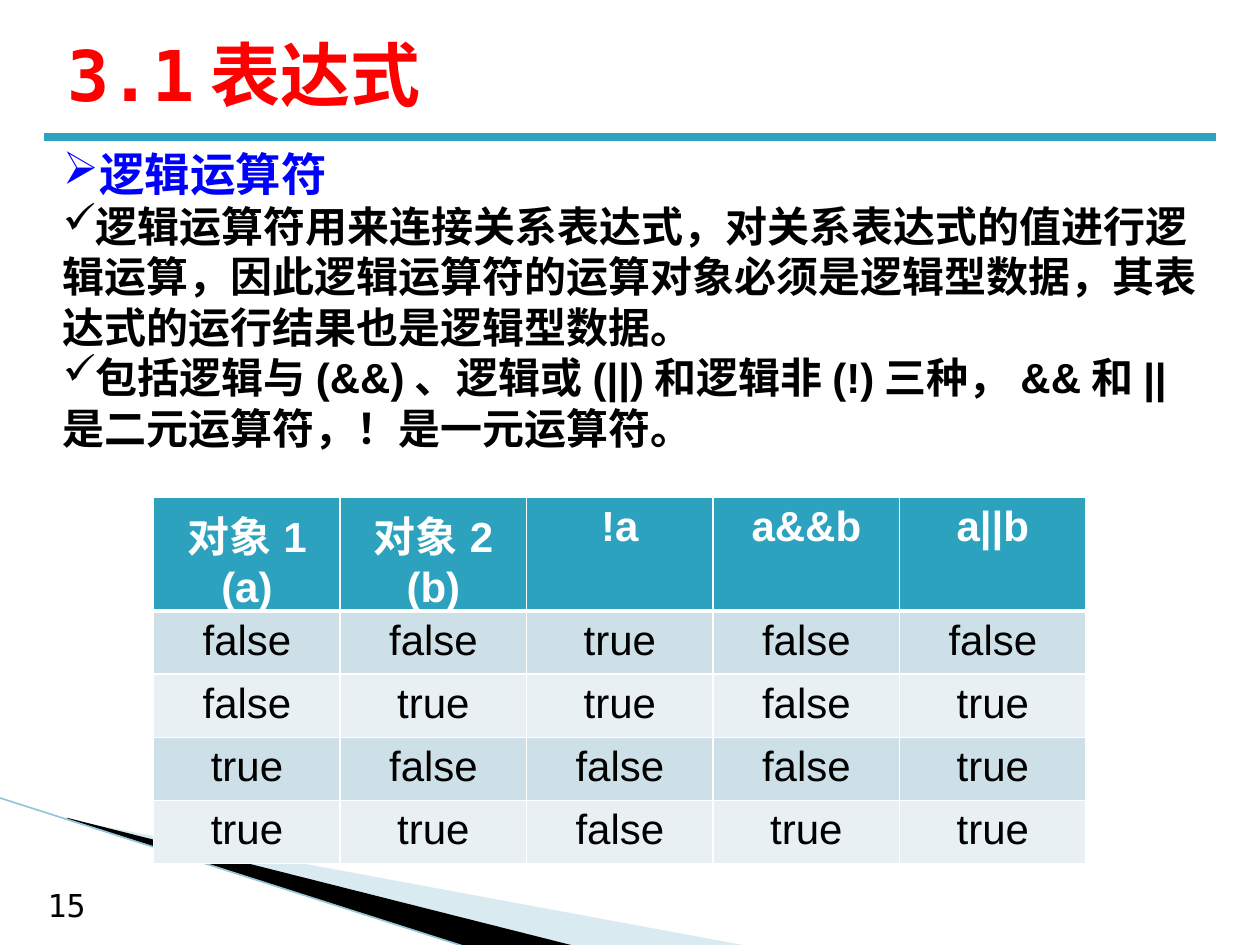
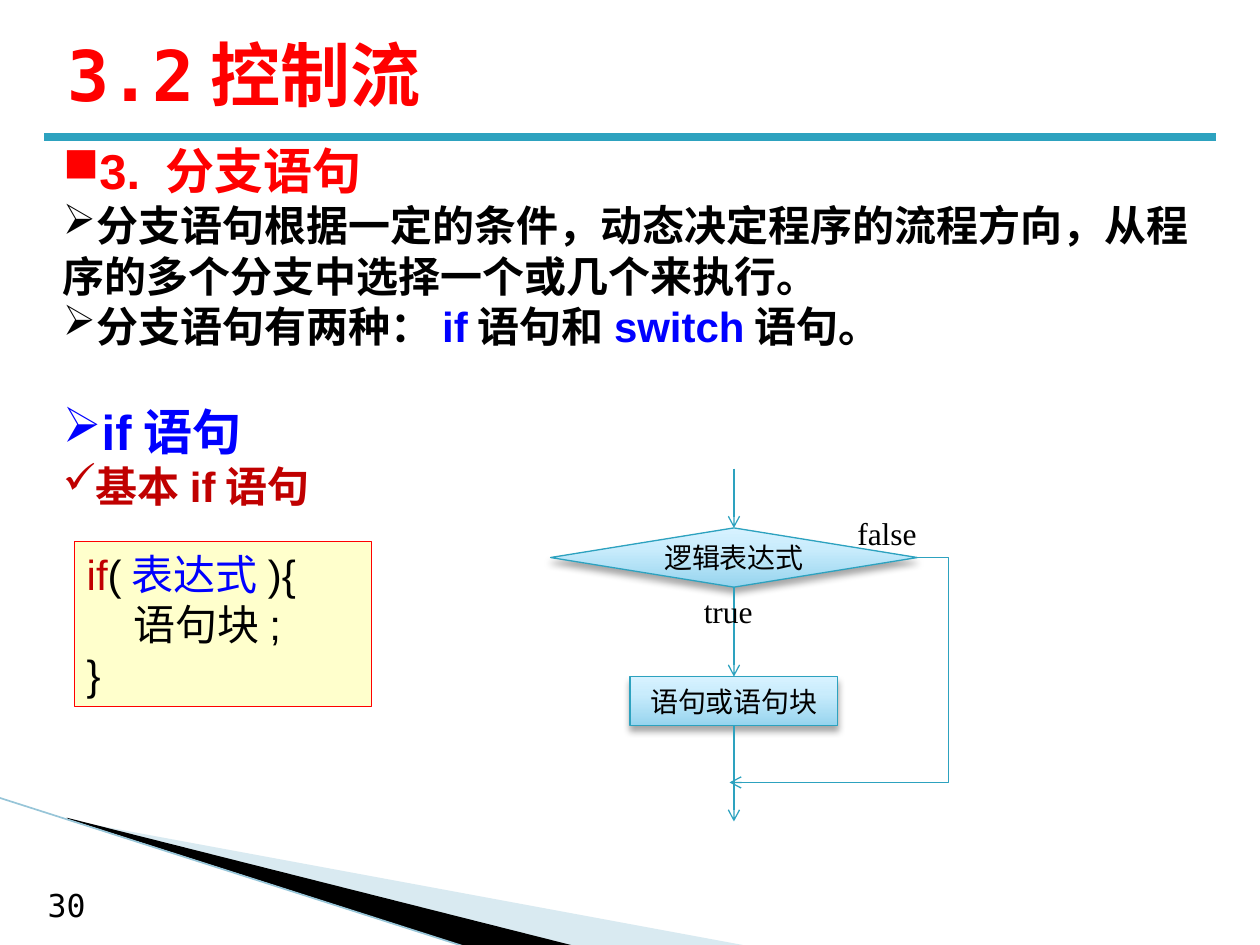
from dataclasses import dataclass
from typing import NamedTuple, Optional

from lxml.etree import SubElement
from pptx import Presentation
from pptx.dml.color import RGBColor
from pptx.enum.shapes import MSO_CONNECTOR, MSO_SHAPE
from pptx.enum.text import MSO_ANCHOR, PP_ALIGN
from pptx.oxml.ns import qn
from pptx.util import Inches, Pt


@dataclass(frozen=True)
class Theme:
    accent: str = "2DA2BF"
    pale: str = "A0CBDC"
    edge: str = "97C5D8"
    red: str = "FF0000"
    dark_red: str = "C00000"
    blue: str = "0000FF"
    black: str = "000000"
    white: str = "FFFFFF"
    code_fill: str = "FFFFCC"
    bands: tuple = ("CDE0E8", "E8F0F4")
    node_stops: tuple = ((0, "96D4EE"), (65, "C9ECFC"), (100, "D7F2FF"))
    sans: str = "Arial"
    mono: str = "DejaVu Sans Mono"
    serif: str = "Times New Roman"
    title: int = 40
    heading: int = 28
    subheading: int = 26
    body: int = 24
    label: int = 18
    node: int = 16
    hairline: float = 0.75


THEME = Theme()
SLIDE_WIDTH, SLIDE_HEIGHT = Inches(10), Inches(7.5)
COLUMNS, ROWS = 100, 75


class Point(NamedTuple):
    column: float
    row: float

    def emu(self) -> tuple[int, int]:
        return (round(self.column * SLIDE_WIDTH / COLUMNS),
                round(self.row * SLIDE_HEIGHT / ROWS))


class Area(NamedTuple):
    column: float
    row: float
    columns: float
    rows: float

    def emu(self) -> tuple[int, int, int, int]:
        return (*Point(self.column, self.row).emu(), *Point(self.columns, self.rows).emu())


class Span(NamedTuple):
    text: str
    color: str = THEME.black


class Style(NamedTuple):
    font: str = THEME.sans
    size: int = THEME.body
    bold: bool = False
    align: PP_ALIGN = PP_ALIGN.LEFT


@dataclass(frozen=True)
class Para:
    spans: tuple
    style: Style = Style()
    bullet: Optional[str] = None
    indent: float = 0
    gap: float = 0


BOLD = Style(bold=True)
HEADING = Style(size=THEME.heading, bold=True)
SUBHEADING = Style(size=THEME.subheading, bold=True)
TITLE = Style(THEME.mono, THEME.title, True)
NUMBER = Style(THEME.mono, THEME.label)
NODE = Style(THEME.mono, THEME.node, align=PP_ALIGN.CENTER)
LABEL = Style(THEME.serif, THEME.label, align=PP_ALIGN.CENTER)
HEADER_CELL = Style(bold=True, align=PP_ALIGN.CENTER)
BODY_CELL = Style(align=PP_ALIGN.CENTER)

BACK_WEDGE = (Point(5.5, 65.1), Point(59.5, 75.1), Point(45.6, 75.1), Point(5.5, 65))
FRONT_WEDGE = (Point(5.3, 64.9), Point(45.7, 75.1), Point(37.2, 75.2), Point(5.4, 65))

LOGIC_TEXT = (
    Para((Span("逻辑运算符", THEME.blue),), SUBHEADING, "➢"),
    Para((Span("逻辑运算符用来连接关系表达式，对关系表达式的值进行逻辑运算，"
               "因此逻辑运算符的运算对象必须是逻辑型数据，其表达式的运行结果也是逻辑型数据。"),),
         BOLD, "✓"),
    Para((Span("包括逻辑与(&&)、逻辑或(||)和逻辑非(!)三种，&&和||是二元运算符，！是一元运算符。"),),
         BOLD, "✓"),
)
TRUTH_TABLE = (
    ("对象1 (a)", "对象2 (b)", "!a", "a&&b", "a||b"),
    ("false", "false", "true", "false", "false"),
    ("false", "true", "true", "false", "true"),
    ("true", "false", "false", "false", "true"),
    ("true", "true", "false", "true", "true"),
)
BRANCH_TEXT = (
    Para((Span("3. 分支语句", THEME.red),), HEADING, "■"),
    Para((Span("分支语句根据一定的条件，动态决定程序的流程方向，从程序的多个分支中选择一个或几个来执行。"),),
         BOLD, "➢"),
    Para((Span("分支语句有两种："), Span("if", THEME.blue), Span("语句和"),
          Span("switch", THEME.blue), Span("语句。")), BOLD, "➢"),
    Para((Span("if语句", THEME.blue),), HEADING, "➢", gap=29),
    Para((Span("基本if语句", THEME.dark_red),), BOLD, "✓"),
)
IF_CODE = (
    Para((Span("if", THEME.dark_red), Span("("), Span("表达式", THEME.blue), Span("){"))),
    Para((Span("语句块;"),), indent=0.37),
    Para((Span("}"),)),
)


def rgb(color: str) -> RGBColor:
    return RGBColor.from_string(color)


def add_color(parent, color: str, alpha: int = 100) -> None:
    node = SubElement(parent, qn("a:srgbClr"), val=color)
    if alpha < 100:
        SubElement(node, qn("a:alpha"), val=str(alpha * 1000))


def write(frame, paras, anchor=MSO_ANCHOR.TOP) -> None:
    frame.word_wrap = True
    frame.vertical_anchor = anchor
    for index, para in enumerate(paras):
        paragraph = frame.add_paragraph() if index else frame.paragraphs[0]
        paragraph.alignment = para.style.align
        if para.gap:
            paragraph.space_before = Pt(para.gap)
        properties = paragraph._p.get_or_add_pPr()
        properties.set("marL", str(Inches(para.indent)))
        properties.set("indent", "0")
        if para.bullet:
            SubElement(properties, qn("a:buChar"), char=para.bullet)
        for span in para.spans:
            run = paragraph.add_run()
            run.text = span.text
            run.font.name = para.style.font
            run.font.size = Pt(para.style.size)
            run.font.bold = para.style.bold
            run.font.color.rgb = rgb(span.color)


def add_text(page, area: Area, paras, anchor=MSO_ANCHOR.TOP) -> None:
    write(page.shapes.add_textbox(*area.emu()).text_frame, paras, anchor)


def add_wedge(page, points, color: str, alpha: int = 100) -> None:
    first, *rest = [point.emu() for point in points]
    builder = page.shapes.build_freeform(*first, scale=1.0)
    builder.add_line_segments(rest, close=True)
    wedge = builder.convert_to_shape()
    wedge.shadow.inherit = False
    wedge.line.fill.background()
    wedge.fill.solid()
    wedge.fill.fore_color.rgb = rgb(color)
    if alpha < 100:
        fill_color = wedge.element.spPr.find(qn("a:solidFill"))[0]
        SubElement(fill_color, qn("a:alpha"), val=str(alpha * 1000))


def add_line(page, start: Point, end: Point, color: str = THEME.accent,
             width: float = THEME.hairline, arrow: bool = False,
             kind=MSO_CONNECTOR.STRAIGHT):
    line = page.shapes.add_connector(kind, *start.emu(), *end.emu())
    line.line.color.rgb = rgb(color)
    line.line.width = Pt(width)
    if arrow:
        SubElement(line.line._get_or_add_ln(), qn("a:tailEnd"), type="arrow")
    SubElement(line._element.spPr, qn("a:effectLst"))
    return line


def add_box(page, area: Area, kind, outline: str):
    box = page.shapes.add_shape(kind, *area.emu())
    box.shadow.inherit = False
    box.line.color.rgb = rgb(outline)
    box.line.width = Pt(THEME.hairline)
    return box


def add_node(page, area: Area, kind, text: str):
    node = add_box(page, area, kind, THEME.accent)
    node.fill.gradient()
    node.fill.gradient_angle = 90
    properties = node.element.spPr
    stops = properties.find(".//" + qn("a:gsLst"))
    for stop in list(stops):
        stops.remove(stop)
    for position, color in THEME.node_stops:
        add_color(SubElement(stops, qn("a:gs"), pos=str(position * 1000)), color)
    shadow = SubElement(properties.find(qn("a:effectLst")), qn("a:outerShdw"),
                        blurRad=str(Pt(4)), dist=str(Pt(3)), dir="5400000", rotWithShape="0")
    add_color(shadow, THEME.black, 35)
    write(node.text_frame, [Para((Span(text),), NODE)], MSO_ANCHOR.MIDDLE)
    return node


def add_page(deck, title: str, number: int):
    page = deck.slides.add_slide(deck.slide_layouts[6])
    add_wedge(page, BACK_WEDGE, THEME.pale, 40)
    add_wedge(page, FRONT_WEDGE, THEME.black)
    add_line(page, Point(-0.1, 63.3), Point(37.1, 75.2), THEME.edge, 0.95)
    add_line(page, Point(3.5, 10.9), Point(96.5, 10.9), width=4.5)
    add_text(page, Area(2.8, 69.8, 5.5, 4), [Para((Span(str(number)),), NUMBER)])
    add_text(page, Area(4.4, 1.6, 90, 8.5), [Para((Span(title, THEME.red),), TITLE)],
             MSO_ANCHOR.MIDDLE)
    return page


def set_borders(cell, top: float, bottom: float) -> None:
    properties = cell._tc.get_or_add_tcPr()
    for side, width in (("lnL", 1), ("lnR", 1), ("lnT", top), ("lnB", bottom)):
        border = SubElement(properties, qn(f"a:{side}"), w=str(Pt(width)))
        add_color(SubElement(border, qn("a:solidFill")), THEME.white)


def add_truth_table(page, area: Area) -> None:
    table = page.shapes.add_table(len(TRUTH_TABLE), len(TRUTH_TABLE[0]), *area.emu()).table
    for row, values in enumerate(TRUTH_TABLE):
        header = row == 0
        fill = THEME.accent if header else THEME.bands[(row - 1) % 2]
        span_color = THEME.white if header else THEME.black
        for column, value in enumerate(values):
            cell = table.cell(row, column)
            set_borders(cell, 3 if row == 1 else 1, 3 if header else 1)
            cell.fill.solid()
            cell.fill.fore_color.rgb = rgb(fill)
            style = HEADER_CELL if header else BODY_CELL
            write(cell.text_frame, [Para((Span(value, span_color),), style)])


def add_flowchart(page) -> None:
    axis = 58.25
    decision = add_node(page, Area(43.7, 41.9, 29.1, 4.7),
                        MSO_SHAPE.FLOWCHART_DECISION, "逻辑表达式")
    block = add_node(page, Area(50, 53.7, 16.5, 3.9), MSO_SHAPE.RECTANGLE, "语句或语句块")
    inside = add_line(page, Point(axis, 46.6), Point(axis, 53.7), arrow=True)
    inside.begin_connect(decision, 2)
    inside.end_connect(block, 0)
    leaving = add_line(page, Point(axis, 57.6), Point(axis, 65.2), arrow=True)
    leaving.begin_connect(block, 2)
    bypass = add_line(page, Point(72.8, 44.25), Point(57.9, 62.1), arrow=True,
                      kind=MSO_CONNECTOR.ELBOW)
    guides = bypass._element.spPr.find(qn("a:prstGeom")).find(qn("a:avLst"))
    SubElement(guides, qn("a:gd"), name="adj1", fmla="val -16800")
    entering = add_line(page, Point(axis, 37.2), Point(axis, 41.9), arrow=True)
    entering.end_connect(decision, 0)
    for text, column, row in (("true", 53.1, 46.5), ("false", 65.7, 40.3)):
        add_text(page, Area(column, row, 9.4, 4), [Para((Span(text),), LABEL)])


def build_logic_page(deck) -> None:
    page = add_page(deck, "3.1表达式", 15)
    add_text(page, Area(4, 11.1, 92.9, 25.6), LOGIC_TEXT)
    add_truth_table(page, Area(12.2, 39.5, 74, 25))


def build_branch_page(deck) -> None:
    page = add_page(deck, "3.2控制流", 30)
    add_text(page, Area(4, 10.7, 92.9, 30.6), BRANCH_TEXT)
    code = add_box(page, Area(5.9, 43, 23.6, 13.1), MSO_SHAPE.RECTANGLE, THEME.red)
    code.fill.solid()
    code.fill.fore_color.rgb = rgb(THEME.code_fill)
    write(code.text_frame, IF_CODE)
    add_flowchart(page)


def main() -> None:
    deck = Presentation()
    deck.slide_width, deck.slide_height = SLIDE_WIDTH, SLIDE_HEIGHT
    build_logic_page(deck)
    build_branch_page(deck)
    deck.save("out.pptx")


if __name__ == "__main__":
    main()
